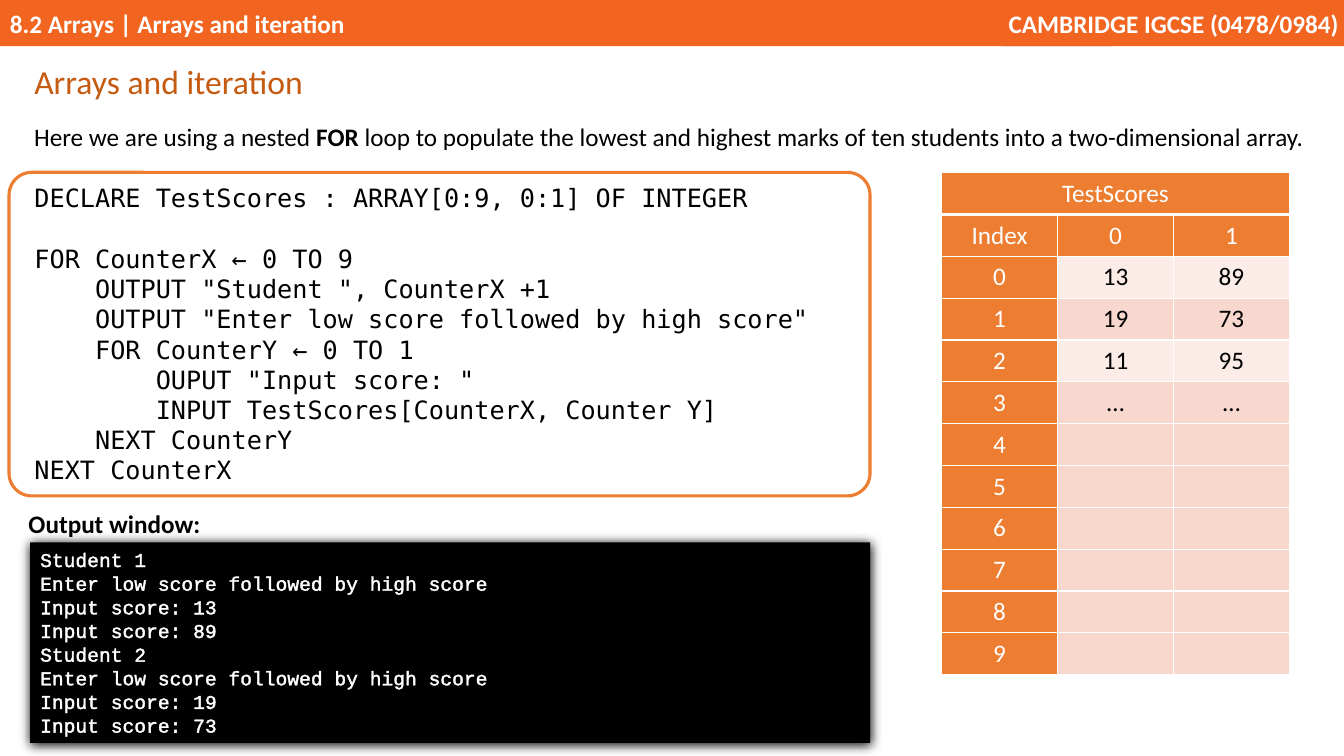
"""Build a slide on filling a two-dimensional array with nested loops."""
from typing import NamedTuple, Optional

from lxml.etree import SubElement
from pptx import Presentation
from pptx.dml.color import RGBColor
from pptx.enum.shapes import MSO_SHAPE
from pptx.enum.text import MSO_ANCHOR, MSO_AUTO_SIZE, PP_ALIGN
from pptx.oxml import parse_xml
from pptx.oxml.ns import nsdecls, qn
from pptx.shapes.autoshape import Shape
from pptx.slide import Slide
from pptx.table import _Cell
from pptx.util import Pt

BANNER = RGBColor(0xF2, 0x65, 0x21)
ORANGE = RGBColor(0xED, 0x7D, 0x31)
RUST = RGBColor(0xC5, 0x5A, 0x11)
PALE = RGBColor(0xFC, 0xEC, 0xE8)
PINK = RGBColor(0xF8, 0xD7, 0xCE)
BLANK_PINK = RGBColor(0xF8, 0xD7, 0xCD)
WHITE = RGBColor(0xFF, 0xFF, 0xFF)
BLACK = RGBColor(0, 0, 0)

CODE = """DECLARE TestScores : ARRAY[0:9, 0:1] OF INTEGER
FOR CounterX ← 0 TO 9
    OUTPUT "Student ", CounterX +1
    OUTPUT "Enter low score followed by high score"
    FOR CounterY ← 0 TO 1
        OUPUT "Input score: "
        INPUT TestScores[CounterX, Counter Y]
    NEXT CounterY
NEXT CounterX"""
CODE_PITCH = 21.6
CONSOLE = """Student 1
Enter low score followed by high score
Input score: 13
Input score: 89
Student 2
Enter low score followed by high score
Input score: 19
Input score: 73"""
SCORES = [("13", "89"), ("19", "73"), ("11", "95"), ("…", "…")]
STUDENTS = 10
COLUMN_WIDTH, ROW_HEIGHT = 82.8, 29.9


class Box(NamedTuple):
    """Place of an element, in points."""
    left: float
    top: float
    width: float
    height: float


class Style(NamedTuple):
    """Look of a block of text."""
    size: float = 18
    color: RGBColor = BLACK
    bold: bool = False
    font: str = "Calibri"
    align: PP_ALIGN = PP_ALIGN.LEFT
    anchor: MSO_ANCHOR = MSO_ANCHOR.TOP
    margins: tuple[float, float, float, float] = (7.2, 3.6, 7.2, 3.6)
    pitch: Optional[float] = None


class Panel(NamedTuple):
    """A filled or outlined shape with its text."""
    box: Box
    text: str
    style: Style
    fill: Optional[RGBColor] = None
    line: Optional[RGBColor] = None
    outline: MSO_SHAPE = MSO_SHAPE.RECTANGLE


HEADING = Style(color=WHITE, bold=True, anchor=MSO_ANCHOR.MIDDLE)
TOPIC_BAR = Panel(Box(0, 0, 795, 33), "8.2 Arrays | Arrays and iteration", HEADING, BANNER)
COURSE_BAR = Panel(Box(716.4, 0, 243.6, 33), "CAMBRIDGE IGCSE (0478/0984)",
                   HEADING._replace(align=PP_ALIGN.RIGHT, margins=(0, 3.6, 3.6, 3.6)), BANNER)
CODE_PANEL = Panel(Box(6.5, 123.1, 615, 231.1), CODE,
                   Style(font="DejaVu Sans Mono", margins=(13.4, 2.6, 0, 0), pitch=CODE_PITCH),
                   line=ORANGE, outline=MSO_SHAPE.ROUNDED_RECTANGLE)
CONSOLE_PANEL = Panel(Box(21.6, 387.4, 600, 143.3), CONSOLE,
                      Style(14, WHITE, font="Courier New", pitch=16.9), BLACK)


def write(shape: Shape, text: str, style: Style) -> None:
    """Put styled text into a shape."""
    frame = shape.text_frame
    frame.text = text
    frame.word_wrap = True
    frame.auto_size = MSO_AUTO_SIZE.NONE
    frame.vertical_anchor = style.anchor
    (frame.margin_left, frame.margin_top,
     frame.margin_right, frame.margin_bottom) = map(Pt, style.margins)
    for paragraph in frame.paragraphs:
        paragraph.alignment = style.align
        if style.pitch:
            paragraph.line_spacing = Pt(style.pitch)
        for run in paragraph.runs:
            run.font.name = style.font
            run.font.size = Pt(style.size)
            run.font.bold = style.bold
            run.font.color.rgb = style.color


def add_panel(slide: Slide, panel: Panel) -> Shape:
    """Draw a panel and its text."""
    shape = slide.shapes.add_shape(panel.outline, *map(Pt, panel.box))
    shape.shadow.inherit = False
    if panel.fill is None:
        shape.fill.background()
    else:
        shape.fill.solid()
        shape.fill.fore_color.rgb = panel.fill
    if panel.line is None:
        shape.line.fill.background()
    else:
        shape.line.color.rgb = panel.line
        shape.line.width = Pt(2.25)
    write(shape, panel.text, panel.style)
    return shape


def add_label(slide: Slide, box: Box, text: str, style: Style) -> Shape:
    """Draw a plain text box."""
    label = slide.shapes.add_textbox(*map(Pt, box))
    write(label, text, style)
    return label


def add_glow(console: Shape) -> None:
    """Give the console its shadow and its letters a thin white outline."""
    effects = console._element.spPr.find(qn("a:effectLst"))
    shadow = SubElement(effects, qn("a:outerShdw"), blurRad=str(Pt(8.5)), dist=str(Pt(1)),
                        dir="5400000", algn="t", rotWithShape="0")
    SubElement(shadow, qn("a:srgbClr"), val=str(BLACK))
    for paragraph in console.text_frame.paragraphs:
        for run in paragraph.runs:
            run.font._element.insert(0, parse_xml(
                f'<a:ln {nsdecls("a")} w="{Pt(0.75)}"><a:solidFill>'
                f'<a:srgbClr val="{WHITE}"/></a:solidFill></a:ln>'))


def fill_cell(cell: _Cell, text: str, fill: RGBColor, color: RGBColor, rule_below: float) -> None:
    """Write one table cell with its fill and white borders."""
    cell.text_frame.text = text
    cell.vertical_anchor = MSO_ANCHOR.MIDDLE
    cell.margin_left = cell.margin_right = Pt(8.6)
    cell.margin_top = cell.margin_bottom = Pt(3.95)
    paragraph = cell.text_frame.paragraphs[0]
    paragraph.alignment = PP_ALIGN.CENTER
    paragraph.font.size = Pt(18)
    for run in paragraph.runs:
        run.font.size = Pt(18)
        run.font.name = "Calibri"
        run.font.bold = False
        run.font.color.rgb = color
    properties = cell._tc.get_or_add_tcPr()
    for side, width in (("lnL", 1), ("lnR", 1), ("lnT", 1), ("lnB", rule_below)):
        border = SubElement(properties, qn(f"a:{side}"), w=str(Pt(width)))
        SubElement(SubElement(border, qn("a:solidFill")), qn("a:srgbClr"), val=str(WHITE))
    cell.fill.solid()
    cell.fill.fore_color.rgb = fill


def add_scores(slide: Slide) -> None:
    """Draw the TestScores array as a table."""
    entries = SCORES + [("", "")] * (STUDENTS - len(SCORES))
    rows = [("TestScores", "", ""), ("Index", "0", "1")]
    rows += [(str(index), *marks) for index, marks in enumerate(entries)]
    box = Box(672.6, 123.4, 3 * COLUMN_WIDTH, len(rows) * ROW_HEIGHT)
    scores = slide.shapes.add_table(len(rows), 3, *map(Pt, box)).table
    scores.first_row = scores.horz_banding = False
    for column in scores.columns:
        column.width = Pt(COLUMN_WIDTH)
    for r, row in enumerate(rows):
        scores.rows[r].height = Pt(ROW_HEIGHT)
        for c, text in enumerate(row):
            heading = r < 2 or c == 0
            band = BLANK_PINK if not text else PINK if r % 2 else PALE
            fill_cell(scores.cell(r, c), text, ORANGE if heading else band,
                      WHITE if heading else BLACK, 1 if r else 3)
    scores.cell(0, 0).merge(scores.cell(0, 2))


def main() -> None:
    """Build and save the slide."""
    deck = Presentation()
    deck.slide_width, deck.slide_height = Pt(960), Pt(540)
    slide = deck.slides.add_slide(deck.slide_layouts[5])

    heading = slide.shapes.title
    heading.left, heading.top, heading.width, heading.height = map(Pt, Box(17.3, 39.6, 416.9, 36.7))
    write(heading, "Arrays and iteration", Style(24, RUST))

    add_panel(slide, TOPIC_BAR)
    add_panel(slide, COURSE_BAR)

    intro = add_label(slide, Box(17.3, 82.8, 942, 29.2), "", Style())
    opening = "Here we are using a nested "
    closing = (" loop to populate the lowest and highest marks of ten students"
               " into a two-dimensional array.")
    for words in (opening, "FOR", closing):
        run = intro.text_frame.paragraphs[0].add_run()
        run.text = words
        run.font.name = "Calibri"
        run.font.size = Pt(18)
        run.font.bold = words == "FOR"
        run.font.color.rgb = BLACK

    code = add_panel(slide, CODE_PANEL)
    code.adjustments[0] = 0.07
    code.text_frame.paragraphs[1].space_before = Pt(CODE_PITCH)

    add_scores(slide)
    add_glow(add_panel(slide, CONSOLE_PANEL))
    add_label(slide, Box(13.3, 359.3, 155.5, 29), "Output window:", Style(bold=True))
    deck.save("out.pptx")


if __name__ == "__main__":
    main()
